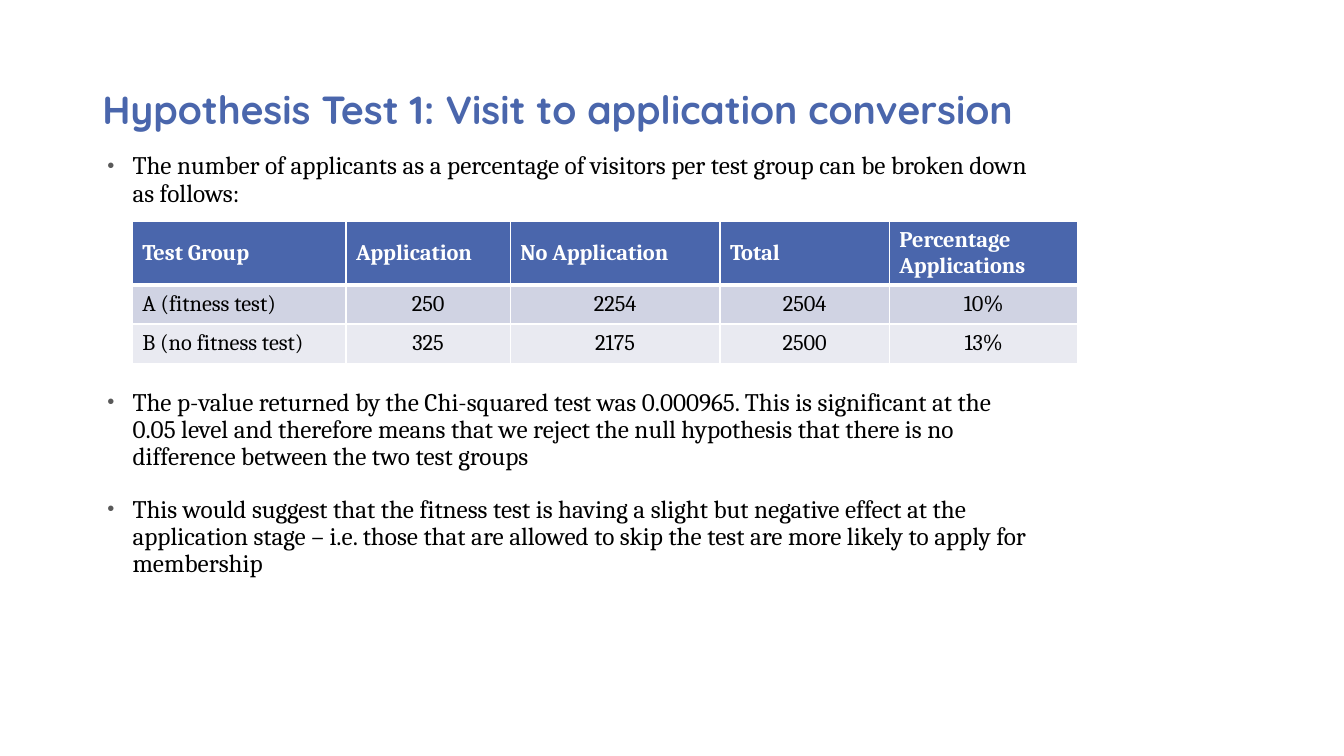
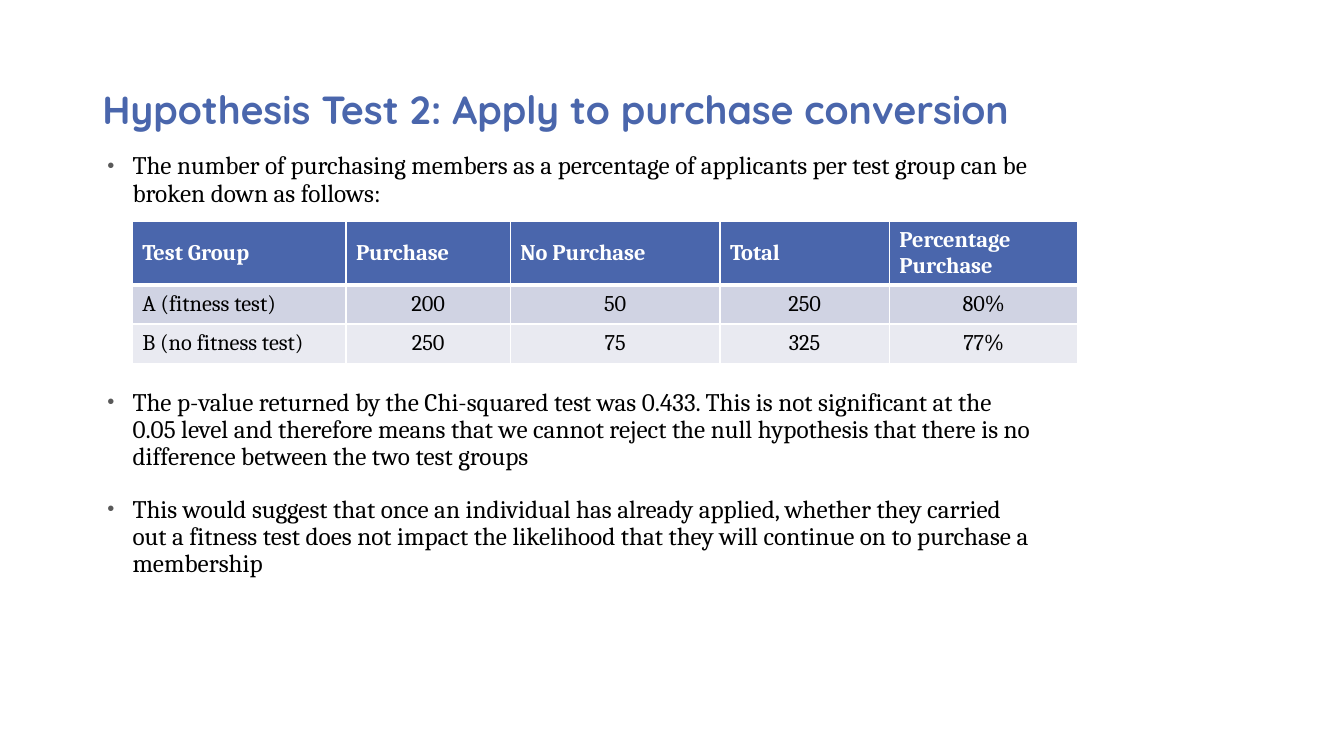
from lxml import etree
from pptx import Presentation
from pptx import util as u
from pptx.dml.color import RGBColor
from pptx.enum import text
from pptx.oxml import ns

BLUE = RGBColor(0x4A, 0x66, 0xAC)
WHITE = RGBColor(0xFF, 0xFF, 0xFF)
BLACK = RGBColor(0, 0, 0)
GREY = RGBColor(0x59, 0x59, 0x59)
BANDS = (RGBColor(0xD0, 0xD3, 0xE3), RGBColor(0xE9, 0xEA, 0xF1))

TITLE_FONT = {"name": "Quicksand", "size": u.Pt(28), "bold": True}
BODY_FONT = {"name": "Cambria", "size": u.Pt(18), "bold": False}
HEADER_FONT = {"name": "Cambria", "size": u.Pt(16), "bold": True}
CELL_FONT = {**HEADER_FONT, "bold": False}

TITLE_BOX = (66, 38.9, 684, 84.2)
BODY_BOX = (66, 105.8, 684, 294.5)
TABLE_BOX = (94.5, 157.8, 675.6, 98.8)
COLUMN_WIDTHS = (152.6, 117.4, 149.8, 121)
BODY_ROW_HEIGHT = 28
PARA_GAP = 18
TABLE_GAP = 130

SLIDES = [
    {
        "title": "Hypothesis Test 1: Visit to application conversion",
        "bullets": [
            "The number of applicants as a percentage of visitors per test group "
            "can be broken down as follows:",
            "The p-value returned by the Chi-squared test was 0.000965. This is "
            "significant at the 0.05 level and therefore means that we reject the "
            "null hypothesis that there is no difference between the two test groups",
            "This would suggest that the fitness test is having a slight but negative "
            "effect at the application stage – i.e. those that are allowed to skip "
            "the test are more likely to apply for membership",
        ],
        "rows": [
            ("Test Group", "Application", "No Application", "Total", "Percentage Applications"),
            ("A (fitness test)", "250", "2254", "2504", "10%"),
            ("B (no fitness test)", "325", "2175", "2500", "13%"),
        ],
    },
    {
        "title": "Hypothesis Test 2: Apply to purchase conversion",
        "bullets": [
            "The number of purchasing members as a percentage of applicants per test "
            "group can be broken down as follows:",
            "The p-value returned by the Chi-squared test was 0.433. This is not "
            "significant at the 0.05 level and therefore means that we cannot reject the "
            "null hypothesis that there is no difference between the two test groups",
            "This would suggest that once an individual has already applied, whether "
            "they carried out a fitness test does not impact the likelihood that they "
            "will continue on to purchase a membership",
        ],
        "rows": [
            ("Test Group", "Purchase", "No Purchase", "Total", "Percentage Purchase"),
            ("A (fitness test)", "200", "50", "250", "80%"),
            ("B (no fitness test)", "250", "75", "325", "77%"),
        ],
    },
]


def set_values(target, values):
    for name, value in values.items():
        setattr(target, name, value)


def add_span(para, words, font, color):
    span = para.add_run()
    span.text = words
    set_values(span.font, font)
    span.font.color.rgb = color


def add_frame(page, box, anchor):
    frame = page.shapes.add_textbox(*map(u.Pt, box)).text_frame
    set_values(frame, {"word_wrap": True, "vertical_anchor": anchor})
    return frame


def add_child(parent, tag, **attributes):
    return etree.SubElement(parent, ns.qn(tag), attributes)


def add_bullet(para):
    properties = para._p.get_or_add_pPr()
    properties.set("marL", str(u.Pt(21.6)))
    properties.set("indent", str(u.Pt(-18)))
    add_child(add_child(properties, "a:buClr"), "a:srgbClr", val=str(GREY))
    add_child(properties, "a:buSzPct", val="80000")
    add_child(properties, "a:buFont", typeface="Arial")
    add_child(properties, "a:buChar", char="•")


def add_title(page, box, words):
    para = add_frame(page, box, text.MSO_ANCHOR.MIDDLE).paragraphs[0]
    para.line_spacing = 0.8
    add_span(para, words, TITLE_FONT, BLUE)


def add_body(page, box, bullets):
    frame = add_frame(page, box, text.MSO_ANCHOR.TOP)
    for index, words in enumerate(bullets):
        para = frame.paragraphs[0] if index == 0 else frame.add_paragraph()
        gap = TABLE_GAP if index == 1 else PARA_GAP
        set_values(para, {"line_spacing": 0.9, "space_before": u.Pt(gap)})
        add_bullet(para)
        add_span(para, words, BODY_FONT, BLACK)


def add_borders(cell, top, bottom):
    properties = cell._tc.get_or_add_tcPr()
    for side, width in {"L": 1, "R": 1, "T": top, "B": bottom}.items():
        line = add_child(properties, f"a:ln{side}", w=str(u.Pt(width)))
        add_child(add_child(line, "a:solidFill"), "a:srgbClr", val=str(WHITE))


def fill_cell(cell, words, row, column):
    header = row == 0
    add_borders(cell, 3 if row == 1 else 1, 3 if header else 1)
    cell.fill.solid()
    cell.fill.fore_color.rgb = BLUE if header else BANDS[(row - 1) % 2]
    cell.vertical_anchor = text.MSO_ANCHOR.MIDDLE
    para = cell.text_frame.paragraphs[0]
    centred = not header and column > 0
    para.alignment = text.PP_ALIGN.CENTER if centred else text.PP_ALIGN.LEFT
    add_span(para, words, HEADER_FONT if header else CELL_FONT, WHITE if header else BLACK)


def add_results(page, box, rows):
    width, height = box[2:]
    table = page.shapes.add_table(len(rows), len(rows[0]), *map(u.Pt, box)).table
    set_values(table, {"first_row": True, "horz_banding": False})
    widths = (*COLUMN_WIDTHS, width - sum(COLUMN_WIDTHS))
    for column, size in zip(table.columns, widths):
        column.width = u.Pt(size)
    body_rows = len(rows) - 1
    heights = [height - body_rows * BODY_ROW_HEIGHT] + [BODY_ROW_HEIGHT] * body_rows
    for row, size in zip(table.rows, heights):
        row.height = u.Pt(size)
    for row, values in enumerate(rows):
        for column, words in enumerate(values):
            fill_cell(table.cell(row, column), words, row, column)


def add_test_slide(deck, content):
    page = deck.slides.add_slide(deck.slide_layouts[6])
    add_title(page, TITLE_BOX, content["title"])
    add_body(page, BODY_BOX, content["bullets"])
    add_results(page, TABLE_BOX, content["rows"])


def main():
    deck = Presentation()
    set_values(deck, {"slide_width": u.Pt(960), "slide_height": u.Pt(540)})
    for content in SLIDES:
        add_test_slide(deck, content)
    deck.save("out.pptx")


if __name__ == "__main__":
    main()
